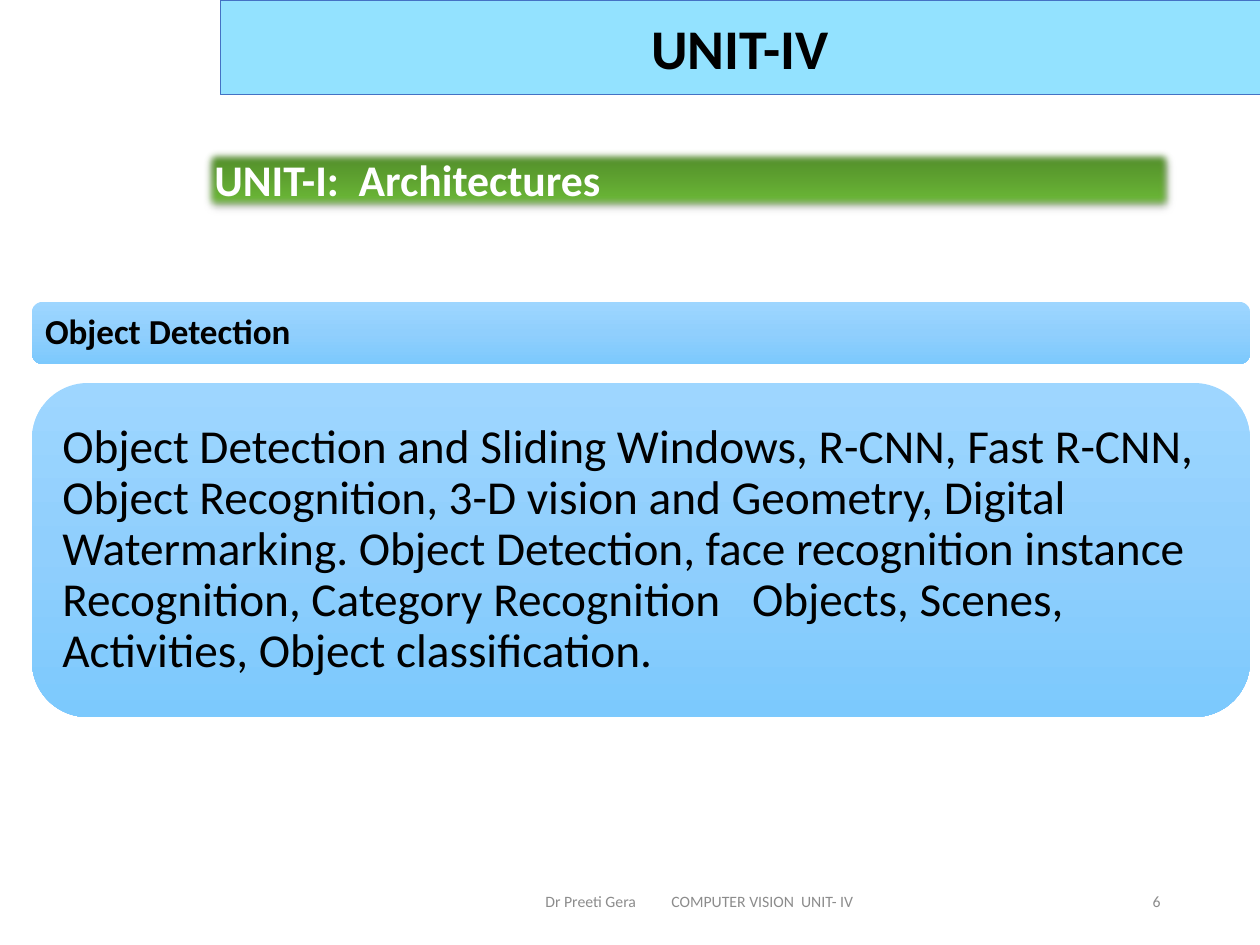
from dataclasses import dataclass

from lxml import etree
from pptx import Presentation
from pptx.dml.color import RGBColor
from pptx.enum.shapes import MSO_SHAPE
from pptx.enum.text import MSO_ANCHOR, PP_ALIGN
from pptx.oxml import parse_xml
from pptx.oxml.ns import nsdecls, qn
from pptx.util import Emu, Pt

RECT, ROUND = MSO_SHAPE.RECTANGLE, MSO_SHAPE.ROUNDED_RECTANGLE
TOP, MIDDLE = MSO_ANCHOR.TOP, MSO_ANCHOR.MIDDLE
LEFT, CENTER, RIGHT = PP_ALIGN.LEFT, PP_ALIGN.CENTER, PP_ALIGN.RIGHT
SCALE = 914400 / 126


@dataclass(frozen=True)
class Theme:
    """Colours, type sizes and font of the slide."""
    font: str = "Calibri"
    black: str = "000000"
    white: str = "FFFFFF"
    gray: str = "8C8C8C"
    sky: str = "93E2FF"
    edge: str = "4472C4"
    green: tuple = ((0, "4D8527"), (80, "6AB636"), (100, "6ABA34"))
    blue: tuple = ((0, "9ED6FF"), (50, "90CFFD"), (100, "7CC9FD"))
    title: int = 32
    unit: int = 25
    head: int = 20
    body: int = 27
    foot: int = 9


THEME = Theme()


def px(count):
    """Turn whole pixels into EMU."""
    return Emu(round(count * SCALE))


def write(shape, text, size, color, bold=False, align=LEFT, anchor=MIDDLE):
    """Put one styled paragraph into a shape."""
    frame = shape.text_frame
    frame.word_wrap = True
    frame.vertical_anchor = anchor
    frame.text = text
    para = frame.paragraphs[0]
    para.alignment = align
    for run in para.runs:
        run.font.name = THEME.font
        run.font.size = Pt(size)
        run.font.bold = bold
        run.font.color.rgb = RGBColor.from_string(color)
    return para


def add_box(slide, kind, place):
    """Add a preset shape without shadow or outline."""
    box = slide.shapes.add_shape(kind, *map(px, place))
    box.shadow.inherit = False
    box.line.fill.background()
    return box


def shade(box, stops):
    """Fill a shape with a gradient from top to bottom."""
    box.fill.gradient()
    box.fill.gradient_angle = 270
    ramp = next(box._element.spPr.iter(qn("a:gsLst")))
    for old in list(ramp):
        ramp.remove(old)
    for spot, color in stops:
        stop = etree.SubElement(ramp, qn("a:gs"), pos=str(spot * 1000))
        etree.SubElement(stop, qn("a:srgbClr"), val=color)


def soften(box):
    """Give a shape a faint shadow and soft edges."""
    glow = box._element.spPr.find(qn("a:effectLst"))
    glow.append(parse_xml(
        f'<a:outerShdw {nsdecls("a")} blurRad="39370" dist="22860" dir="5400000" rotWithShape="0">'
        f'<a:srgbClr val="{THEME.black}"><a:alpha val="35000"/></a:srgbClr></a:outerShdw>'))
    etree.SubElement(glow, qn("a:softEdge"), rad="63500")


def add_title(slide, text):
    """Add the flat title band."""
    band = add_box(slide, RECT, (220, 0, 1040, 95))
    band.fill.solid()
    band.fill.fore_color.rgb = RGBColor.from_string(THEME.sky)
    band.line.color.rgb = RGBColor.from_string(THEME.edge)
    band.line.width = Pt(0.5)
    write(band, text, THEME.title, THEME.black, True, CENTER)


def add_unit(slide, text):
    """Add the green unit bar."""
    bar = add_box(slide, RECT, (202, 147, 974, 66))
    shade(bar, THEME.green)
    soften(bar)
    write(bar, text, THEME.unit, THEME.white, True, anchor=TOP)


def add_panel(slide, top, height, inset, text, size, bold):
    """Add a rounded blue panel with text."""
    panel = add_box(slide, ROUND, (32, top, 1218, height))
    shade(panel, THEME.blue)
    frame = panel.text_frame
    frame.margin_left = frame.margin_right = px(inset)
    frame.margin_top = frame.margin_bottom = px(inset)
    write(panel, text, size, THEME.black, bold).line_spacing = 0.9


def add_foot(slide, left, width, text, align, indent=0, tab=0):
    """Add a footer text with an optional indent and tab stop."""
    note = slide.shapes.add_textbox(*map(px, (left, 876, width, 50)))
    para = write(note, text, THEME.foot, THEME.gray, align=align)
    if tab:
        props = para._p.get_or_add_pPr()
        props.set("marL", str(px(indent)))
        props.set("indent", "0")
        tabs = etree.SubElement(props, qn("a:tabLst"))
        etree.SubElement(tabs, qn("a:tab"), pos=str(px(tab)), algn="l")


def main():
    """Build and save the slide."""
    deck = Presentation()
    deck.slide_width, deck.slide_height = px(1260), px(945)
    slide = deck.slides.add_slide(deck.slide_layouts[6])
    add_foot(slide, 399, 609, "Dr Preeti Gera\tCOMPUTER VISION  UNIT- IV", LEFT, 134, 267)
    add_foot(slide, 890, 283, "6", RIGHT)
    add_title(slide, "UNIT-IV")
    add_unit(slide, "UNIT-I:  Architectures")
    add_panel(slide, 302, 62, 10, "Object Detection", THEME.head, True)
    add_panel(
        slide, 383, 334, 14,
        "Object Detection and Sliding Windows, R-CNN, Fast R-CNN, Object Recognition, "
        "3-D vision and Geometry, Digital Watermarking. Object Detection, face recognition "
        "instance Recognition, Category Recognition   Objects, Scenes, Activities, "
        "Object classification.", THEME.body, False)
    deck.save("out.pptx")


if __name__ == "__main__":
    main()
